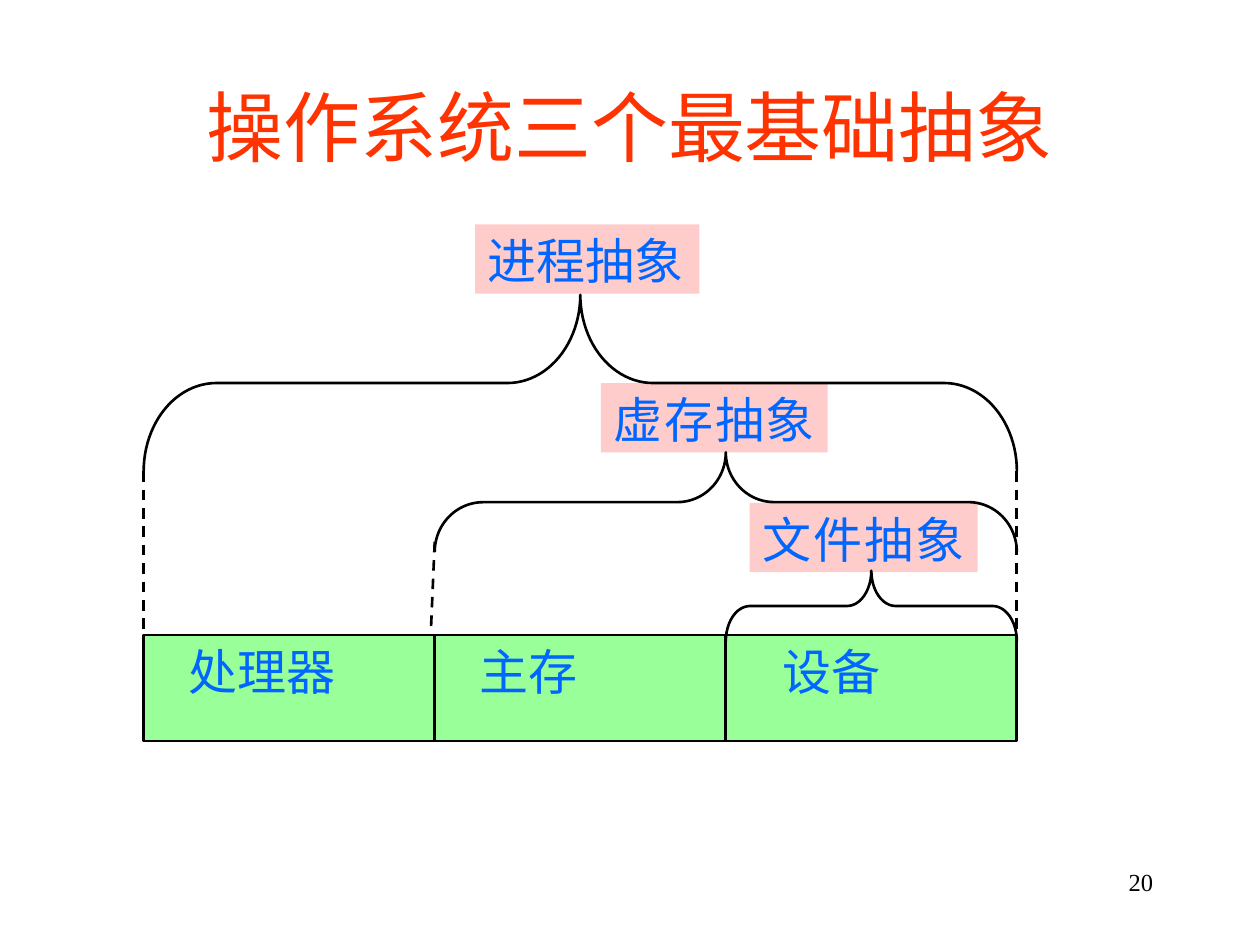
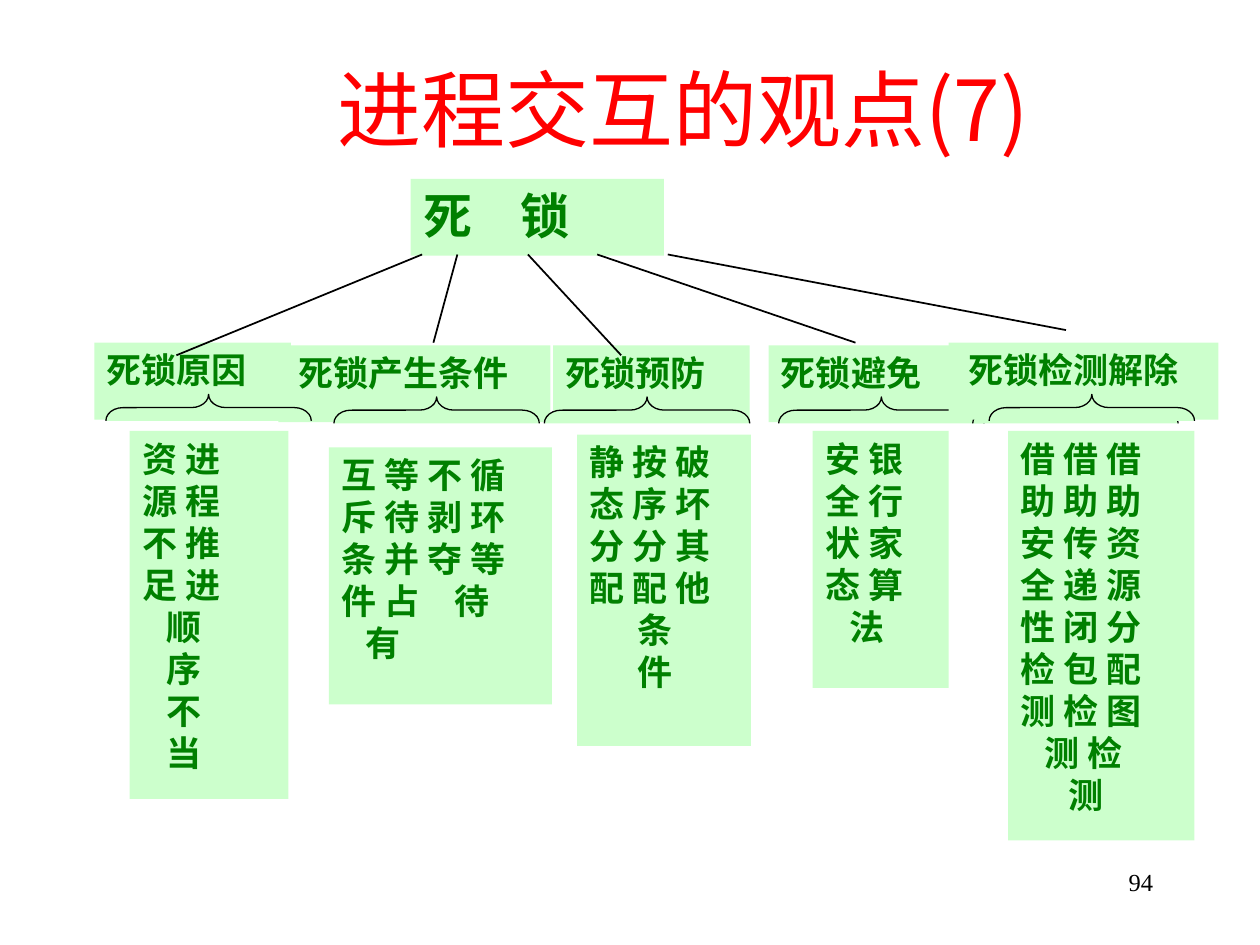
import dataclasses

import pptx
import pptx.dml.color
import pptx.enum.dml
import pptx.enum.shapes
import pptx.enum.text
import pptx.oxml.ns
import pptx.util
from lxml import etree

Inches = pptx.util.Inches
Pt = pptx.util.Pt
ALIGN = pptx.enum.text.PP_ALIGN
ANCHOR = pptx.enum.text.MSO_ANCHOR
PRESET = pptx.enum.shapes.MSO_SHAPE


@dataclasses.dataclass(frozen=True)
class Theme:
    """Colours, fonts and type sizes of the slides."""
    black: str = "000000"
    orange: str = "FF3300"
    red: str = "FF0000"
    blue: str = "0066FF"
    pink: str = "FFCCCC"
    lime: str = "99FF99"
    green: str = "008000"
    mint: str = "CCFFCC"
    sans: str = "Noto Sans CJK SC"
    serif: str = "Times New Roman"
    big: int = 28
    small: int = 20
    number: int = 14
    leading: tuple = ((28, 33.7), (20, 24))


THEME = Theme()


def rgb(value):
    """Turn a hex value into a colour."""
    return pptx.dml.color.RGBColor.from_string(value)


def write(paragraph, text, size, color, font=THEME.sans, bold=False, tracking=0):
    """Put formatted text into a paragraph."""
    paragraph.text = text
    for run in paragraph.runs:
        run.font.size = Pt(size)
        run.font.bold = bold
        run.font.name = font
        run.font.color.rgb = rgb(color)
        properties = run._r.get_or_add_rPr()
        if tracking:
            properties.set("spc", str(tracking))
        east_asian = etree.SubElement(properties, pptx.oxml.ns.qn("a:ea"))
        east_asian.set("typeface", THEME.sans)


def indent(paragraph, left):
    """Set the left margin in inches."""
    properties = paragraph._p.get_or_add_pPr()
    properties.set("marL", str(Inches(left)))
    properties.set("indent", "0")


def add_line_text(slide, box, text, align, anchor, size, color, font):
    """Add one line of plain text."""
    frame = slide.shapes.add_textbox(*map(Inches, box)).text_frame
    frame.word_wrap = True
    frame.vertical_anchor = anchor
    write(frame.paragraphs[0], text, size, color, font)
    frame.paragraphs[0].alignment = align


def add_title(slide, box, text, size, color, font):
    """Add a centred slide title."""
    add_line_text(slide, box, text, ALIGN.CENTER, ANCHOR.MIDDLE, size, color, font)


def add_page_number(slide, number):
    """Add the page number at the lower right."""
    add_line_text(slide, (7.17, 6.83, 2.08, 0.5), str(number), ALIGN.RIGHT,
                  ANCHOR.TOP, THEME.number, THEME.black, THEME.serif)


def style(shape, fill=None, line_width=0):
    """Set fill and outline and drop the shadow."""
    shape.shadow.inherit = False
    if fill:
        shape.fill.solid()
        shape.fill.fore_color.rgb = rgb(fill)
    else:
        shape.fill.background()
    if line_width:
        shape.line.color.rgb = rgb(THEME.black)
        shape.line.width = Pt(line_width)
    else:
        shape.line.fill.background()


def add_block(slide, box, rows, fill, color, size, bold=False, line_width=0, tracking=0):
    """Add a filled block whose rows are (left margin, text)."""
    block = slide.shapes.add_shape(PRESET.RECTANGLE, *map(Inches, box))
    style(block, fill, line_width)
    frame = block.text_frame
    frame.word_wrap = True
    frame.vertical_anchor = ANCHOR.TOP
    for index, (left, text) in enumerate(rows):
        paragraph = frame.add_paragraph() if index else frame.paragraphs[0]
        paragraph.alignment = ALIGN.LEFT
        paragraph.line_spacing = Pt(dict(THEME.leading)[size])
        indent(paragraph, left)
        write(paragraph, text, size, color, bold=bold, tracking=tracking)


def add_brace(slide, left, top, span, drop, line_width, fill=None):
    """Add a brace that opens downwards below its tip."""
    brace = slide.shapes.add_shape(
        PRESET.LEFT_BRACE, Inches(left + (span - drop) / 2),
        Inches(top + (drop - span) / 2), Inches(drop), Inches(span))
    brace.rotation = 90
    brace.adjustments[0] = span / 12 / drop
    style(brace, fill, line_width)


def add_link(slide, start, end, width, dashed=False):
    """Add a straight line between two points."""
    link = slide.shapes.add_connector(
        pptx.enum.shapes.MSO_CONNECTOR.STRAIGHT, *map(Inches, start + end))
    link.line.color.rgb = rgb(THEME.black)
    link.line.width = Pt(width)
    if dashed:
        link.line.dash_style = pptx.enum.dml.MSO_LINE.DASH
    etree.SubElement(link._element.spPr, pptx.oxml.ns.qn("a:effectLst"))


def build_abstractions(slide):
    """Draw the three abstractions above the hardware they cover."""
    add_title(slide, (0.75, 0.37, 8.5, 1.25), "操作系统三个最基础抽象", 44,
              THEME.orange, THEME.serif)
    first, cell, right = 1.14, 2.31, 8.07
    abstractions = [
        ("文件抽象", 5.95, 3.99, 1.81, 120, 1, 4.53, 0.56),
        ("虚存抽象", 4.77, 3.04, 1.8, 110, 2, 3.59, 0.79),
        ("进程抽象", 3.77, 1.78, 1.78, 0, 3, 2.34, 1.4),
    ]
    for name, left, top, width, tracking, *_ in abstractions:
        add_block(slide, (left, top, width, 0.55), [(0, name)], THEME.pink,
                  THEME.blue, THEME.big, tracking=tracking)
    hardware = [("处理器", 0.26), ("主存", 0.26), ("设备", 0.35)]
    for index, (name, margin) in enumerate(hardware):
        add_block(slide, (first + index * cell, 5.04, cell, 0.84), [(margin, name)],
                  THEME.lime, THEME.blue, THEME.big, line_width=1.5)
    for *_, cells, tip, drop in abstractions:
        add_brace(slide, right - cells * cell, tip, cells * cell, drop, 1.5)
    for start, end in [((3.45, 4.3), (3.42, 5.01)),
                       ((first, 3.74), (first, 5.01)), ((right, 3.74), (right, 5.01))]:
        add_link(slide, start, end, 1.5, dashed=True)
    add_page_number(slide, 20)


def add_deadlock_brace(slide, left, top):
    """Add the small filled brace used under each topic."""
    add_brace(slide, left, top, 1.63, 0.21, 0.75, THEME.mint)


def add_deadlock_block(slide, box, rows, size=THEME.small):
    """Add a bold green block; plain rows have no margin."""
    rows = [(0, row) if isinstance(row, str) else row for row in rows]
    add_block(slide, box, rows, THEME.mint, THEME.green, size, bold=True)


def add_topic(slide, heading, heading_box, brace_left, detail_box, details):
    """Add a topic heading, its details and the brace between them."""
    left, top, width = heading_box
    add_deadlock_block(slide, (left, top, width, 0.61), [heading])
    add_deadlock_block(slide, detail_box, details)
    add_deadlock_brace(slide, brace_left, top + 0.41)


def build_deadlock(slide):
    """Draw the deadlock topic tree."""
    add_title(slide, (1.17, 0.2, 8.5, 1.32), "进程交互的观点(7)", 48,
              THEME.red, THEME.sans)
    add_deadlock_block(slide, (3.26, 1.42, 2.01, 0.61), ["死　锁"], THEME.big)
    step = 0.19
    topics = [
        ((0.06, "死锁产生条件"), (2.21, 2.74, 2.16), 2.65, (2.61, 3.55, 1.77, 2.04),
         ["互 等 不 循", "斥 待 剥 环", "条 并 夺 等", "件 占　待", (step, "有")]),
        ("死锁预防", (4.39, 2.74, 1.56), 4.32, (4.58, 3.45, 1.38, 2.47),
         ["静 按 破", "态 序 坏", "分 分 其", "配 配 他",
          (2 * step, "条"), (2 * step, "件")]),
        ("死锁避免", (6.1, 2.74, 1.9), 6.18, (6.45, 3.42, 1.08, 2.04),
         ["安 银", "全 行", "状 家", "态 算", (step, "法")]),
        ((0.06, "死锁检测解除"), (7.53, 2.72, 2.14), 7.85, (8, 3.42, 1.48, 3.25),
         ["借 借 借", "助 助 助", "安 传 资", "全 递 源", "性 闭 分", "检 包 配",
          "测 检 图", (step, "测 检"), (2 * step, "测")]),
        ("死锁原因", (0.75, 2.72, 1.56), 0.84, (1.03, 3.42, 1.26, 2.92),
         ["资 进", "源 程", "不 推", "足 进"] + [(step, word) for word in "顺序不当"]),
    ]
    for topic in topics[:3]:
        add_topic(slide, *topic)
    add_deadlock_brace(slide, 7.72, 3.15)
    for topic in topics[3:]:
        add_topic(slide, *topic)
    for root_x, end in [(3.35, (1.4, 2.82)), (3.63, (3.44, 2.72)), (4.19, (4.93, 2.82)),
                        (4.74, (6.79, 2.72)), (5.3, (8.46, 2.62))]:
        add_link(slide, (root_x, 2.02), end, 1)
    add_page_number(slide, 94)


def main():
    """Build and save the presentation."""
    deck = pptx.Presentation()
    deck.slide_width, deck.slide_height = Inches(10), Inches(7.5)
    for build in (build_abstractions, build_deadlock):
        build(deck.slides.add_slide(deck.slide_layouts[6]))
    deck.save("out.pptx")


if __name__ == "__main__":
    main()
